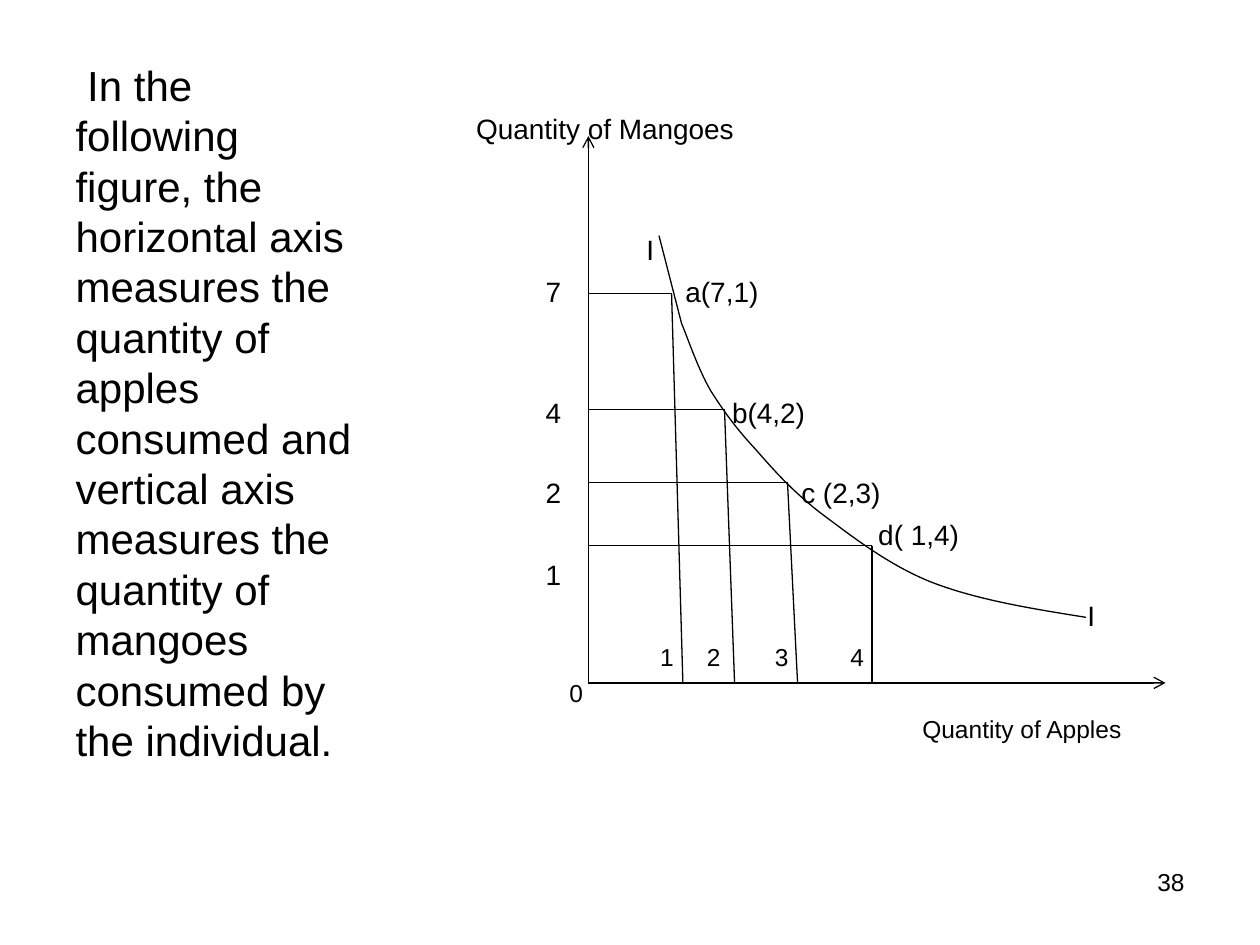
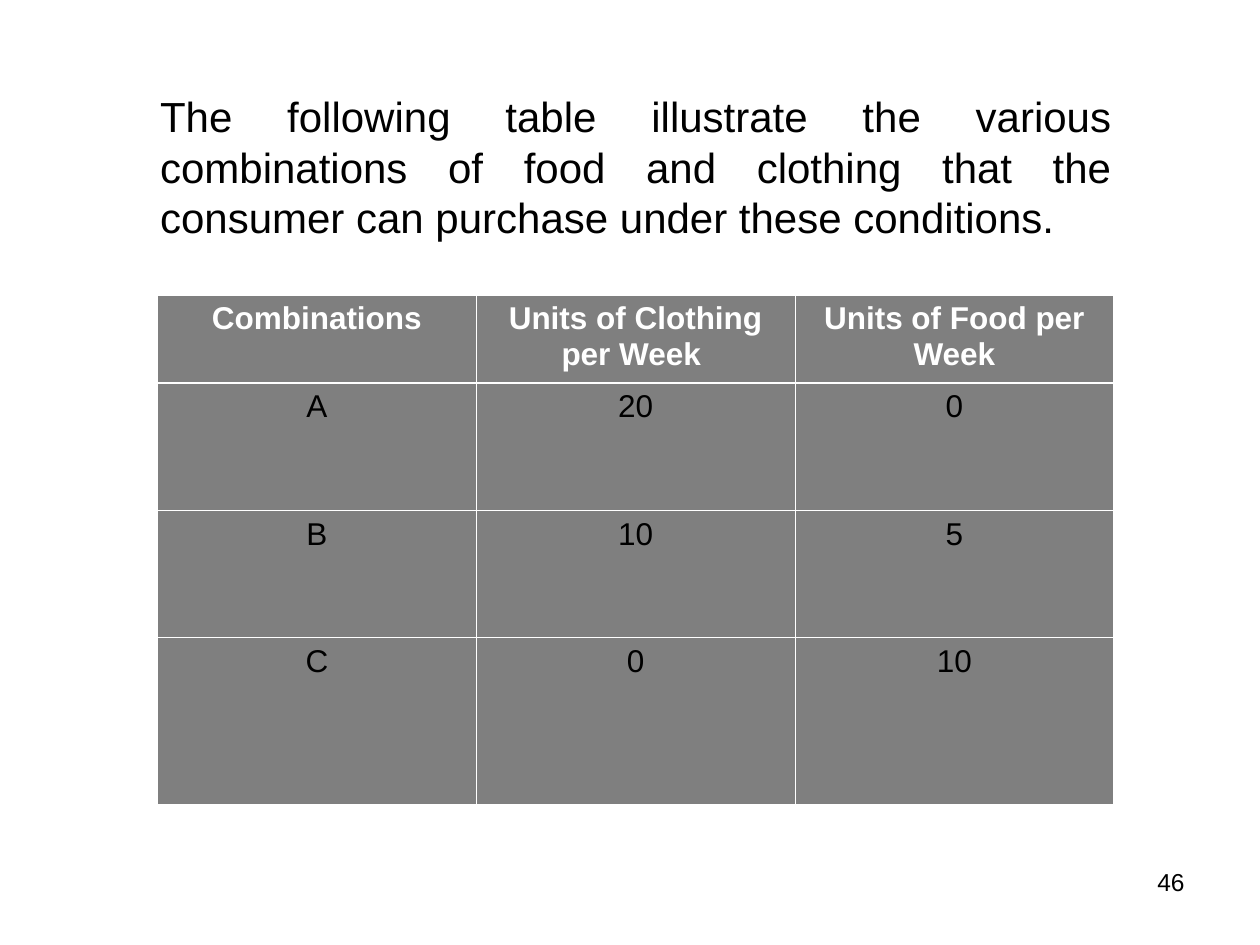
from lxml import etree
from pptx import Presentation
from pptx.dml.color import RGBColor
from pptx.enum import shapes, text
from pptx.oxml import ns
from pptx.util import Inches, Pt

COLOURS = {"ink": "000000", "paper": "FFFFFF", "cell": "7F7F7F"}
FONT = "Arial"
LEFT, CENTRE, RIGHT, JUSTIFY = (
    text.PP_ALIGN.LEFT, text.PP_ALIGN.CENTER, text.PP_ALIGN.RIGHT, text.PP_ALIGN.JUSTIFY)

# Indifference curve: origin, label columns and the four combinations
ORIGIN = (4.67, 5.42)
UNITS_X = 4.33
# curve x, curve y, foot on the apples axis
DROPS = [(5.33, 2.33, 5.42), (5.75, 3.25, 5.83), (6.25, 3.83, 6.33), (6.92, 4.33, 6.92)]
# words, left edge, middle height, size
LABELS = [
    ("Quantity of Mangoes", 3.78, 1.02, 16),
    ("I", 5.13, 1.98, 16),
    ("7", UNITS_X, 2.31, 16), ("a(7,1)", 5.44, 2.31, 16),
    ("4", UNITS_X, 3.27, 16), ("b(4,2)", 5.81, 3.27, 16),
    ("2", UNITS_X, 3.91, 16), ("c (2,3)", 6.36, 3.91, 16),
    ("1", UNITS_X, 4.56, 16), ("d( 1,4)", 6.97, 4.24, 16),
    ("I", 8.63, 4.88, 16),
    ("1", 5.24, 5.21, 14), ("2", 5.61, 5.21, 14),
    ("3", 6.15, 5.21, 14), ("4", 6.75, 5.21, 14),
    ("0", 4.52, 5.5, 14),
    ("Quantity of Apples", 7.32, 5.78, 14),
]
CURVE_START = [(5.23, 1.87), (5.41, 2.57)]
# two control points and an end point for each bend
CURVE_BENDS = [
    [(5.45, 2.66), (5.54, 2.93), (5.64, 3.1)],
    [(5.74, 3.26), (5.85, 3.41), (6, 3.57)],
    [(6.14, 3.73), (6.28, 3.89), (6.51, 4.07)],
    [(6.74, 4.24), (7.04, 4.48), (7.39, 4.62)],
    [(7.75, 4.76), (8.18, 4.83), (8.62, 4.9)],
]

BUDGET = [
    ("Combinations", "Units of Clothing per Week ", "Units of Food per Week"),
    ("A", "20", "0"),
    ("B", "10", "5"),
    ("C", "0", "10"),
]
ROW_HEIGHTS = [0.7, 1.01, 1.01, 1.32]


def colour(name):
    return RGBColor.from_string(COLOURS[name])


def write(frame, words, size=16, ink="ink", bold=False, align=LEFT, before=0):
    paragraph = frame.paragraphs[0]
    paragraph.alignment = align
    paragraph.space_before = Pt(before)
    run = paragraph.add_run()
    run.text = words
    run.font.name, run.font.size, run.font.bold = FONT, Pt(size), bold
    run.font.color.rgb = colour(ink)
    return paragraph


def add_text(slide, words, left, top, width, height, wrap=True, inset=(0.1, 0.05), **style):
    box = slide.shapes.add_textbox(Inches(left), Inches(top), Inches(width), Inches(height))
    frame = box.text_frame
    frame.word_wrap = wrap
    frame.margin_left = frame.margin_right = Inches(inset[0])
    frame.margin_top = frame.margin_bottom = Inches(inset[1])
    write(frame, words, **style)
    return frame


def add_label(slide, words, left, middle, size):
    height = 0.3
    frame = add_text(slide, words, left, middle - height / 2, 0.13 * len(words), height,
                     wrap=False, inset=(0, 0), size=size)
    frame.vertical_anchor = text.MSO_ANCHOR.MIDDLE


def add_line(slide, start, end, arrow=False):
    line = slide.shapes.add_connector(
        shapes.MSO_CONNECTOR.STRAIGHT, *(Inches(n) for n in (*start, *end)))
    line.line.color.rgb = colour("ink")
    line.line.width = Pt(0.75)
    if arrow:
        etree.SubElement(line.line._get_or_add_ln(), ns.qn("a:tailEnd"), type="arrow")
    etree.SubElement(line._element.spPr, ns.qn("a:effectLst"))


def add_curve(slide, start, bends):
    """A straight start followed by cubic bends."""
    points = [(Inches(x), Inches(y)) for x, y in start + sum(bends, [])]
    builder = slide.shapes.build_freeform(*points[0])
    builder.add_line_segments(points[1:], close=False)
    curve = builder.convert_to_shape()
    segments = list(curve._element.iter(ns.qn("a:lnTo")))[len(start) - 1:]
    for first in range(0, len(segments), 3):
        bend = etree.Element(ns.qn("a:cubicBezTo"))
        segments[first].addprevious(bend)
        for segment in segments[first:first + 3]:
            bend.append(segment[0])
            segment.getparent().remove(segment)
    curve.fill.background()
    curve.line.color.rgb = colour("ink")
    curve.line.width = Pt(0.75)
    curve.shadow.inherit = False


def add_text_slide(deck, layout, words, left, top, width, height, number, align=LEFT):
    """A slide with one text placeholder, no title and a page number."""
    slide = deck.slides.add_slide(deck.slide_layouts[layout])
    title = slide.shapes.title._element
    title.getparent().remove(title)
    body = slide.placeholders[1]
    body.left, body.top, body.width, body.height = (
        Inches(n) for n in (left, top, width, height))
    frame = body.text_frame
    frame.auto_size = text.MSO_AUTO_SIZE.NONE
    frame.vertical_anchor = text.MSO_ANCHOR.TOP
    paragraph = write(frame, words, size=24, align=align, before=6)
    properties = paragraph._p.get_or_add_pPr()
    properties.set("marL", "0")
    properties.set("indent", "0")
    etree.SubElement(properties, ns.qn("a:buNone"))
    add_text(slide, number, 7.17, 6.83, 2.33, 0.52, size=14, align=RIGHT)
    return slide


def set_borders(cell, **widths):
    properties = cell._tc.get_or_add_tcPr()
    for place, side in enumerate(("lnL", "lnR", "lnT", "lnB")):
        border = etree.Element(ns.qn(f"a:{side}"), w=str(Pt(widths.get(side, 0.45))))
        fill = etree.SubElement(border, ns.qn("a:solidFill"))
        etree.SubElement(fill, ns.qn("a:srgbClr"), val=COLOURS["paper"])
        properties.insert(place, border)


def add_budget_table(slide, rows, heights, left, top, column_width):
    columns = len(rows[0])
    table = slide.shapes.add_table(
        len(rows), columns, Inches(left), Inches(top),
        Inches(column_width * columns), Inches(sum(heights))).table
    for column in table.columns:
        column.width = Inches(column_width)
    for r, (values, height) in enumerate(zip(rows, heights)):
        table.rows[r].height = Inches(height)
        header = r == 0
        for c, value in enumerate(values):
            cell = table.cell(r, c)
            cell.fill.solid()
            cell.fill.fore_color.rgb = colour("cell")
            write(cell.text_frame, value, size=18, bold=header, align=CENTRE,
                  ink="paper" if header else "ink")
            heavy = {0: {"lnB": 1.47}, 1: {"lnT": 1.47}}.get(r, {})
            set_borders(cell, **heavy)


def main():
    deck = Presentation()
    deck.slide_width, deck.slide_height = Inches(10), Inches(7.5)

    # Indifference curve
    figure = add_text_slide(
        deck, 1, " In the following figure, the horizontal axis measures the quantity of "
        "apples consumed and vertical axis measures the quantity of mangoes consumed "
        "by the individual.", 0.5, 0.42, 2.5, 6.28, "38")
    for label in LABELS:
        add_label(figure, *label)
    axis_x, axis_y = ORIGIN
    add_line(figure, ORIGIN, (9.25, axis_y), arrow=True)
    add_line(figure, ORIGIN, (axis_x, 1.08), arrow=True)
    add_curve(figure, CURVE_START, CURVE_BENDS)
    for x, y, foot in DROPS:
        add_line(figure, (axis_x, y), (x, y))
        add_line(figure, (x, y), (foot, axis_y))

    # Budget combinations
    budget = add_text_slide(
        deck, 0, "The following table illustrate the various combinations of food and "
        "clothing that the consumer can purchase under these conditions.",
        1.17, 0.67, 7.75, 5.5, "46", align=JUSTIFY)
    add_budget_table(budget, BUDGET, ROW_HEIGHTS, 1.25, 2.34, 2.53)

    deck.save("out.pptx")


if __name__ == "__main__":
    main()
